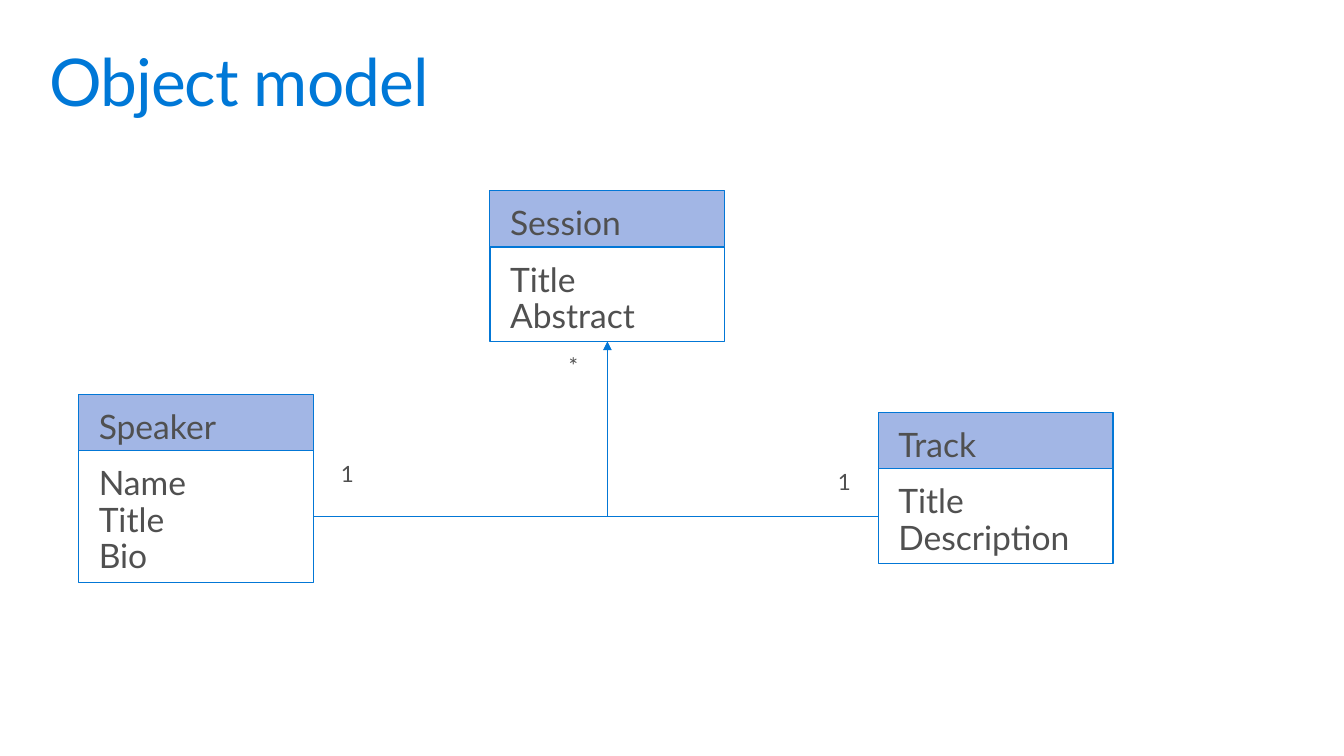
from dataclasses import dataclass

from pptx import Presentation
from pptx.dml.color import RGBColor
from pptx.enum.shapes import MSO_CONNECTOR, MSO_SHAPE
from pptx.enum.text import MSO_ANCHOR, MSO_AUTO_SIZE, PP_ALIGN
from pptx.oxml.ns import qn
from pptx.util import Inches, Pt
from lxml.etree import SubElement


@dataclass(frozen=True)
class Theme:
    font: str = "Lato"
    title_color: RGBColor = RGBColor(0x00, 0x78, 0xD7)
    text_color: RGBColor = RGBColor(0x50, 0x50, 0x50)
    line_color: RGBColor = RGBColor(0x03, 0x77, 0xD6)
    header_fill: RGBColor = RGBColor(0xA2, 0xB6, 0xE5)
    body_fill: RGBColor = RGBColor(0xFF, 0xFF, 0xFF)
    title_size: int = 47
    class_size: int = 24
    label_size: int = 16


THEME = Theme()
CLASS_WIDTH = 2.33
HEADER_HEIGHT = 0.56
BODY_PADDING = 0.2
LINE_HEIGHT = 0.37
RIGHT_SITE, BOTTOM_SITE, LEFT_SITE = 3, 2, 1

CLASSES = {
    "Session": (4.86, 1.89, ["Title", "Abstract"]),
    "Track": (8.71, 4.09, ["Title", "Description"]),
    "Speaker": (0.78, 3.91, ["Name", "Title", "Bio"]),
}
MULTIPLICITIES = [("1", 3.18, 4.47, 0.52), ("*", 5.44, 3.4, 0.5), ("1", 8.11, 4.55, 0.52)]
ASSOCIATIONS = [("Speaker", RIGHT_SITE), ("Track", LEFT_SITE)]


def apply_format(target, values):
    for name, value in values.items():
        setattr(target, name, value)


def write_text(frame, lines, size, color, insets, space_after=0, **frame_format):
    horizontal, vertical = map(Inches, insets)
    apply_format(frame, {
        "margin_left": horizontal, "margin_right": horizontal,
        "margin_top": vertical, "margin_bottom": vertical,
        "vertical_anchor": MSO_ANCHOR.TOP, "word_wrap": True,
        "auto_size": MSO_AUTO_SIZE.NONE, **frame_format,
    })
    frame.text = "\n".join(lines)
    for paragraph in frame.paragraphs:
        apply_format(paragraph, {
            "alignment": PP_ALIGN.LEFT, "line_spacing": 0.9,
            "space_before": Pt(0), "space_after": Pt(space_after),
        })
        font = paragraph.runs[0].font
        apply_format(font, {"name": THEME.font, "size": Pt(size)})
        font.color.rgb = color


def style_line(line, width):
    line.color.rgb = THEME.line_color
    line.width = Pt(width)


def set_title(slide, text):
    title = slide.shapes.title
    apply_format(title, {
        "left": Inches(0.39), "top": Inches(0.39),
        "width": Inches(12.55), "height": Inches(0.98),
    })
    write_text(title.text_frame, [text], THEME.title_size, THEME.title_color, (0.1, 0.1))
    run = title.text_frame.paragraphs[0].runs[0]
    run.font._element.set("spc", "-70")


def add_compartment(slide, left, top, height, lines, fill, line_width):
    shape = slide.shapes.add_shape(
        MSO_SHAPE.RECTANGLE, Inches(left), Inches(top), Inches(CLASS_WIDTH), Inches(height)
    )
    shape.shadow.inherit = False
    shape.fill.solid()
    shape.fill.fore_color.rgb = fill
    style_line(shape.line, line_width)
    write_text(shape.text_frame, lines, THEME.class_size, THEME.text_color, (0.2, 0.16))
    return shape


def add_class(slide, name, left, top, attributes):
    body_height = BODY_PADDING + LINE_HEIGHT * len(attributes)
    body = add_compartment(
        slide, left, top + HEADER_HEIGHT, body_height, attributes, THEME.body_fill, 0.85
    )
    header = add_compartment(slide, left, top, HEADER_HEIGHT, [name], THEME.header_fill, 0.75)
    slide.shapes.add_group_shape([body, header])
    return body


def add_multiplicity(slide, text, left, top, width):
    box = slide.shapes.add_textbox(Inches(left), Inches(top), Inches(width), Inches(0.57))
    write_text(
        box.text_frame, [text], THEME.label_size, THEME.text_color, (0.2, 0.16),
        space_after=6, word_wrap=False, auto_size=MSO_AUTO_SIZE.SHAPE_TO_FIT_TEXT,
    )


def add_association(slide, source, source_site, target):
    connector = slide.shapes.add_connector(
        MSO_CONNECTOR.ELBOW, source.left, source.top, target.left, target.top
    )
    connector.begin_connect(source, source_site)
    connector.end_connect(target, BOTTOM_SITE)
    style_line(connector.line, 0.75)
    properties = connector._element.spPr
    properties.find(qn("a:prstGeom")).set("prst", "bentConnector2")
    SubElement(properties.find(qn("a:ln")), qn("a:tailEnd"), type="triangle")
    SubElement(properties, qn("a:effectLst"))


def main():
    presentation = Presentation()
    apply_format(presentation, {"slide_width": Inches(13.33), "slide_height": Inches(7.5)})
    slide = presentation.slides.add_slide(presentation.slide_layouts.get_by_name("Title Only"))
    set_title(slide, "Object model")
    bodies = {name: add_class(slide, name, *details) for name, details in CLASSES.items()}
    for multiplicity in MULTIPLICITIES:
        add_multiplicity(slide, *multiplicity)
    for name, site in ASSOCIATIONS:
        add_association(slide, bodies[name], site, bodies["Session"])
    presentation.save("out.pptx")


main()
